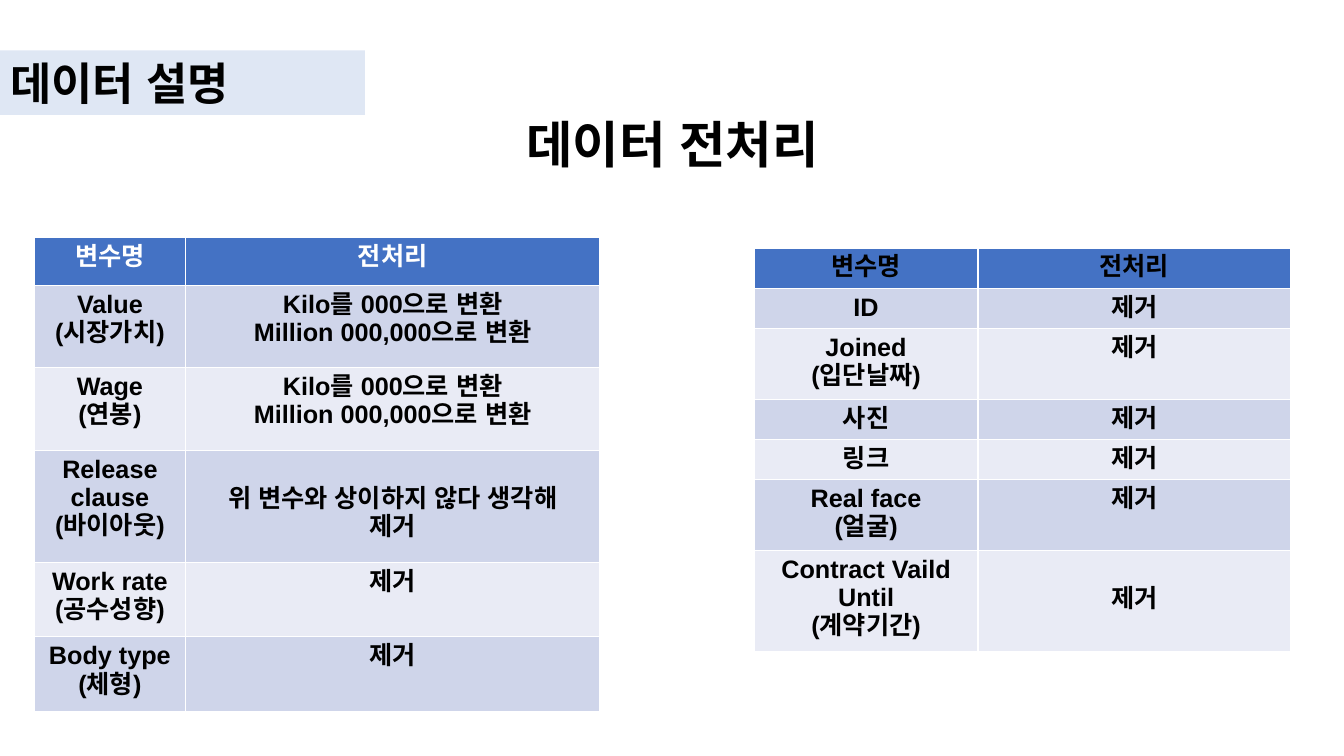
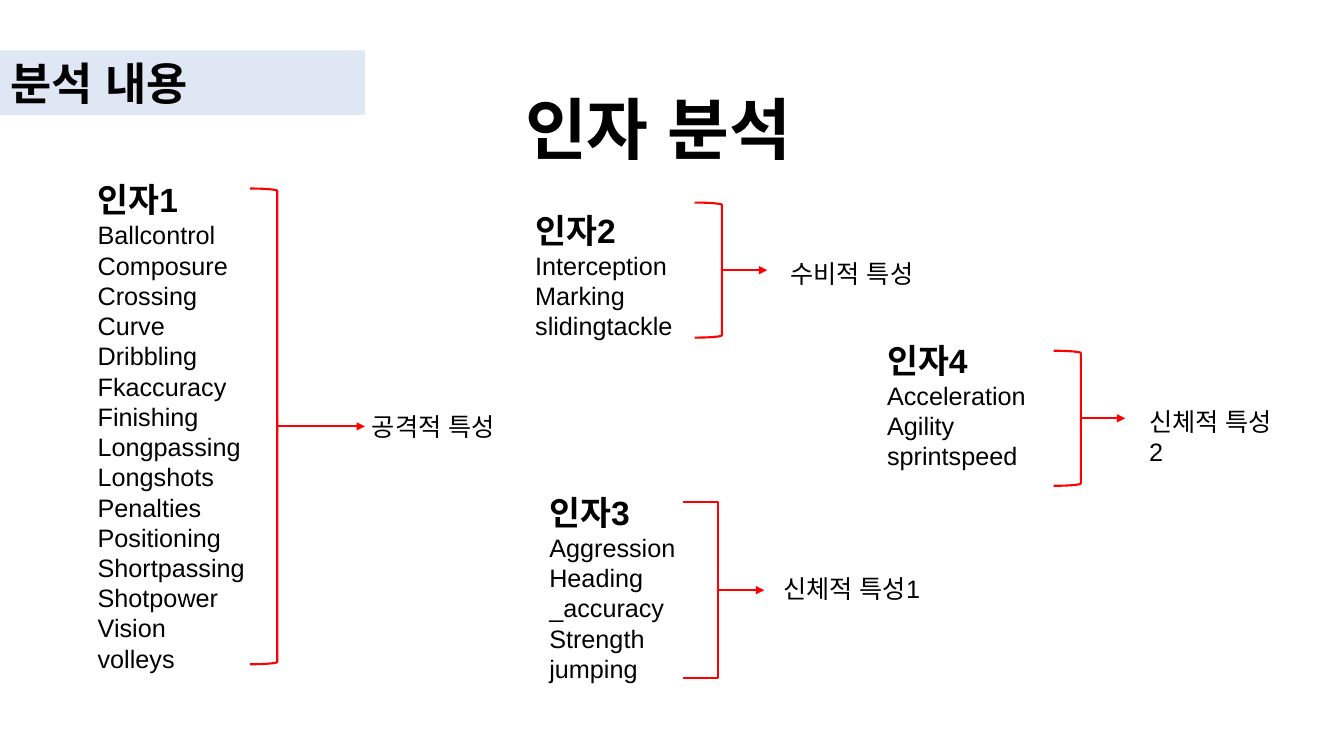
from lxml.etree import SubElement
from pptx import Presentation
from pptx.dml.color import RGBColor
from pptx.enum.lang import MSO_LANGUAGE_ID
from pptx.enum.shapes import MSO_CONNECTOR, MSO_SHAPE
from pptx.enum.text import MSO_ANCHOR, MSO_AUTO_SIZE, PP_ALIGN
from pptx.oxml.ns import qn
from pptx.util import Inches, Pt

FONT = "Arial"
BLACK, WHITE, RED, BAND = "000000", "FFFFFF", "FF0000", "B4C7E7"
HEAD, ROWS = "4472C4", ("CFD5EA", "E9EBF5")

VALUES = [
    ("변수명", "전처리"),
    ("Value\n(시장가치)", "Kilo를 000으로 변환\nMillion 000,000으로 변환"),
    ("Wage\n(연봉)", "Kilo를 000으로 변환\nMillion 000,000으로 변환"),
    ("Release clause\n(바이아웃)", "위 변수와 상이하지 않다 생각해\n제거"),
    ("Work rate\n(공수성향)", "제거"),
    ("Body type\n(체형)", "제거"),
]
DROPS = [("변수명", "전처리")] + [(name, "제거") for name in (
    "ID", "Joined\n(입단날짜)", "사진", "링크", "Real face\n(얼굴)",
    "Contract Vaild Until\n(계약기간)")]

# names, names box, bracket box, bracket bend, arrow length, label, label box
FACTORS = [
    ("인자1 Ballcontrol Composure Crossing Curve Dribbling Fkaccuracy Finishing "
     "Longpassing Longshots Penalties Positioning Shortpassing Shotpower Vision volleys",
     (0.87, 1.73, 1.88, 5.05), (2.48, 1.87, 0.27, 4.72), None, 0.87,
     "공격적 특성", (3.59, 4.03, 2.65, 0.4)),
    ("인자2 Interception Marking slidingtackle",
     (5.21, 2.03, 1.88, 1.41), (6.89, 2.01, 0.27, 1.34), None, 0.45,
     "수비적 특성", (7.74, 2.51, 1.5, 0.4)),
    ("인자3 Aggression Heading _accuracy Strength jumping",
     (5.35, 4.83, 1.5, 2.02), (6.77, 4.98, 0.35, 1.75), 0, 0.46,
     "신체적 특성1", (7.67, 5.64, 1.57, 0.4)),
    ("인자4 Acceleration Agility sprintspeed",
     (8.7, 3.32, 1.88, 1.41), (10.45, 3.48, 0.27, 1.34), None, 0.44,
     "신체적 특성2", (11.3, 3.98, 1.54, 0.4)),
]


def color(code):
    return RGBColor.from_string(code)


def place(box):
    return [Inches(n) for n in box]


def write(frame, text, size=18, bold=False, ink=BLACK, align=PP_ALIGN.LEFT, head=None):
    """Fill a frame line by line; head is the size of a bold first line."""
    frame.word_wrap = True
    for i, line in enumerate(text.split("\n")):
        para = frame.paragraphs[0] if i == 0 else frame.add_paragraph()
        para.alignment = align
        first = head is not None and i == 0
        run = para.add_run()
        run.text = line
        font = run.font
        font.size = Pt(head if first else size)
        font.bold = bold or first
        font.color.rgb = color(ink)
        font.name = FONT
        font.language_id = MSO_LANGUAGE_ID.KOREAN
        SubElement(font._element, qn("a:ea"), typeface=FONT)


def label(slide, text, box, **form):
    write(slide.shapes.add_textbox(*place(box)).text_frame, text, **form)


def start(deck, text):
    """Add a slide with its title on the pale band."""
    slide = deck.slides.add_slide(deck.slide_layouts[5])
    title = slide.shapes.title
    title.left, title.top, title.width, title.height = place((0, 0.5, 3.62, 0.64))
    title.fill.solid()
    title.fill.fore_color.rgb = color(BAND)
    tint = title.fill._xPr.find(".//" + qn("a:srgbClr"))
    SubElement(tint, qn("a:alpha"), val="42000")
    frame = title.text_frame
    frame.auto_size = MSO_AUTO_SIZE.NONE
    frame.vertical_anchor = MSO_ANCHOR.MIDDLE
    write(frame, text, size=32, bold=True)
    return slide


def grid(slide, data, spot, cols, rows, deep, ink=BLACK, foot=0.05):
    """Add a table; the last cell of row deep starts one line lower."""
    box = (*spot, sum(cols), sum(rows))
    table = slide.shapes.add_table(len(rows), len(cols), *place(box)).table
    for col, width in zip(table.columns, cols):
        col.width = Inches(width)
    for r, (height, texts) in enumerate(zip(rows, data)):
        table.rows[r].height = Inches(height)
        for c, text in enumerate(texts):
            cell = table.cell(r, c)
            cell.fill.solid()
            cell.fill.fore_color.rgb = color(ROWS[(r - 1) % 2] if r else HEAD)
            cell.margin_bottom = Inches(foot)
            if (r, c) == (deep, len(cols) - 1):
                cell.margin_top = Inches(0.34)
            write(cell.text_frame, text, bold=True, align=PP_ALIGN.CENTER,
                  ink=BLACK if r else ink)


def stroke(shape):
    shape.line.color.rgb = color(RED)
    shape.line.width = Pt(1.5)


def bracket(slide, box, bend):
    shape = slide.shapes.add_shape(MSO_SHAPE.RIGHT_BRACKET, *place(box))
    shape.shadow.inherit = False
    shape.fill.background()
    stroke(shape)
    if bend is not None:
        shape.adjustments[0] = bend


def arrow(slide, x, y, length):
    line = slide.shapes.add_connector(
        MSO_CONNECTOR.STRAIGHT, *place((x, y, x + length, y)))
    stroke(line)
    SubElement(line.line._get_or_add_ln(), qn("a:tailEnd"), type="triangle")
    SubElement(line._element.spPr, qn("a:effectLst"))


def factor(slide, names, box, edge, bend, length, trait, spot):
    label(slide, names.replace(" ", "\n"), box, head=24)
    bracket(slide, edge, bend)
    x, y, width, height = edge
    arrow(slide, x + width, y + height / 2, length)
    label(slide, trait, spot)


def main():
    deck = Presentation()
    deck.slide_width, deck.slide_height = Inches(13.33), Inches(7.5)

    slide = start(deck, "데이터 설명")
    label(slide, "데이터 전처리", (4.64, 1.07, 4.06, 0.71),
          size=36, bold=True, align=PP_ALIGN.CENTER)
    grid(slide, VALUES, (0.34, 2.36), (1.5, 4.11),
         (0.47, 0.82, 0.82, 1.11, 0.74, 0.74), deep=3, ink=WHITE)
    grid(slide, DROPS, (7.48, 2.46), (2.22, 3.1),
         (0.4, 0.4, 0.7, 0.4, 0.4, 0.7, 1), deep=6, foot=0)

    slide = start(deck, "분석 내용")
    label(slide, "인자 분석", (5.11, 0.82, 3.83, 0.91), size=48, bold=True)
    for item in FACTORS:
        factor(slide, *item)

    deck.save("out.pptx")


if __name__ == "__main__":
    main()
